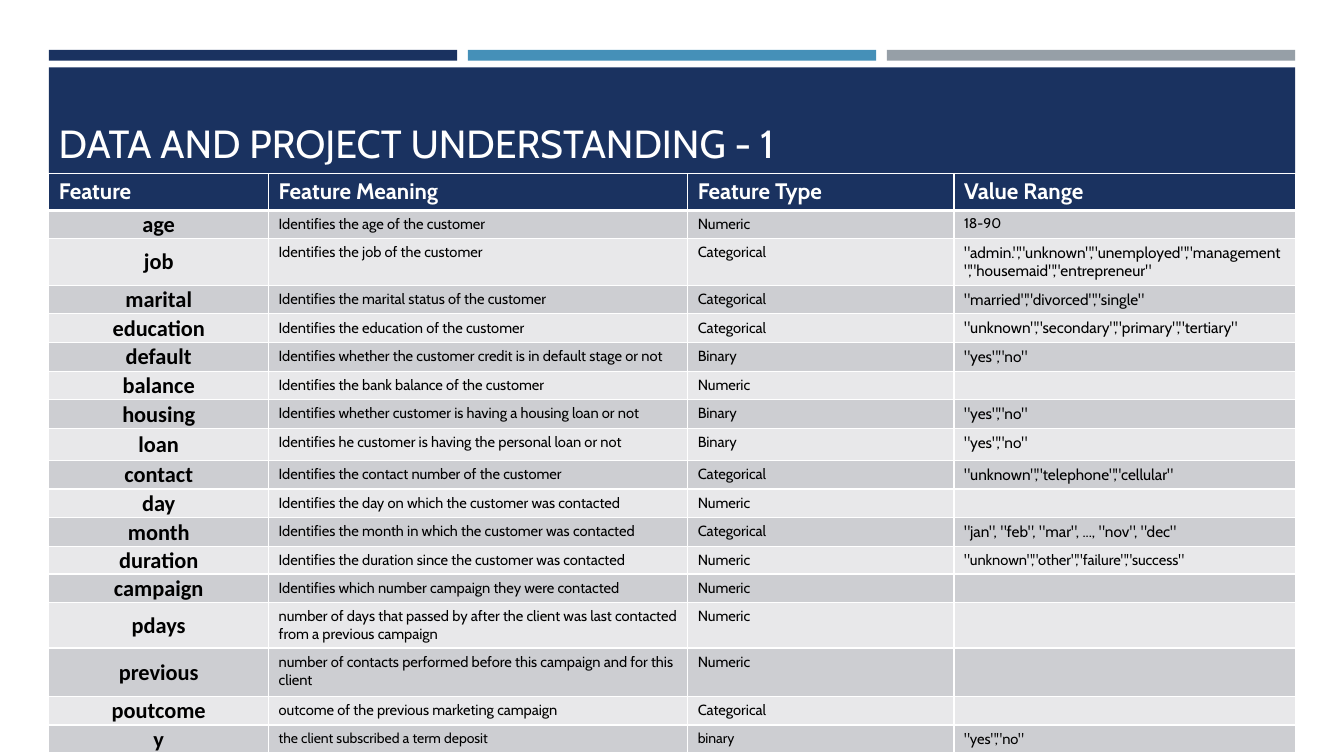
from dataclasses import dataclass

import lxml.etree
import pptx
import pptx.dml.color
import pptx.enum.shapes
import pptx.enum.text
import pptx.oxml.ns
import pptx.util
from pptx.util import Cm


@dataclass(frozen=True)
class Theme:
    navy: str = "1A3260"
    blue: str = "4590B8"
    grey: str = "969FA7"
    white: str = "FFFFFF"
    black: str = "000000"
    band_dark: str = "CDCED2"
    band_light: str = "E8E8EA"
    font: str = "Cabin"
    feature_font: str = "Calibri"
    title_size: float = 28
    heading_size: float = 16
    body_size: float = 10.5
    value_size: float = 11
    small_size: float = 10


THEME = Theme()
LEFT, WIDTH = 1.23, 31.41

HEADINGS = ("Feature", "Feature Meaning", "Feature Type", "Value Range")
FEATURES = [
    ("age", "Identifies the age of the customer", "Numeric", "18-90"),
    ("job", "Identifies the job of the customer", "Categorical",
     '"admin.","unknown","unemployed","management","housemaid","entrepreneur"'),
    ("marital", "Identifies the marital status of the customer", "Categorical",
     '"married","divorced","single"'),
    ("education", "Identifies the education of the customer", "Categorical",
     '"unknown","secondary","primary","tertiary"'),
    ("default", "Identifies whether the customer credit is in default stage or not",
     "Binary", '"yes","no"'),
    ("balance", "Identifies the bank balance of the customer", "Numeric", ""),
    ("housing", "Identifies whether customer is having a housing loan or not",
     "Binary", '"yes","no"'),
    ("loan", "Identifies he customer is having the personal loan or not",
     "Binary", '"yes","no"'),
    ("contact", "Identifies the contact number of the customer", "Categorical",
     '"unknown","telephone","cellular"'),
    ("day", "Identifies the day on which the customer was contacted", "Numeric", ""),
    ("month", "Identifies the month in which the customer was contacted",
     "Categorical", '"jan", "feb", "mar", ..., "nov", "dec"'),
    ("duration", "Identifies the duration since the customer was contacted",
     "Numeric", '"unknown","other","failure","success"'),
    ("campaign", "Identifies which number campaign they were contacted", "Numeric", ""),
    ("pdays", "number of days that passed by after the client was last contacted "
     "from a previous campaign", "Numeric", ""),
    ("previous", "number of contacts performed before this campaign and for this client",
     "Numeric", ""),
    ("poutcome", "outcome of the previous marketing campaign", "Categorical", ""),
    ("y", "the client subscribed a term deposit", "binary", '"yes","no"'),
]
COLUMN_WIDTHS = (5.54, 10.56, 6.71, 8.6)
HEADING_HEIGHT, ROW_HEIGHT = 0.89, 0.66
TALL_ROWS = {"loan": 0.81, "pdays": 1.12, "previous": 1.22}
# Sizes of meaning, type and value where they differ from the usual ones
USUAL_SIZES = (THEME.body_size, THEME.body_size, THEME.value_size)
SPECIAL_SIZES = {
    "age": (THEME.body_size, THEME.body_size, THEME.small_size),
    "duration": (THEME.body_size,) * 3,
    "y": (THEME.small_size, THEME.small_size, THEME.body_size),
}


def rgb(value):
    return pptx.dml.color.RGBColor.from_string(value)


def style_paragraph(paragraph, size, color, name=THEME.font, bold=False):
    font = paragraph.font
    font.size, font.name, font.bold = pptx.util.Pt(size), name, bold
    font.color.rgb = rgb(color)


def add_bar(slide, left, top, width, height, color):
    shape = slide.shapes.add_shape(
        pptx.enum.shapes.MSO_SHAPE.RECTANGLE, Cm(left), Cm(top), Cm(width), Cm(height))
    shape.shadow.inherit = False
    shape.fill.solid()
    shape.fill.fore_color.rgb = rgb(color)
    shape.line.fill.background()


def add_title(slide, text):
    box = slide.shapes.add_textbox(Cm(LEFT), Cm(1.5), Cm(30.63), Cm(2.82))
    frame = box.text_frame
    frame.word_wrap = True
    frame.vertical_anchor = pptx.enum.text.MSO_ANCHOR.BOTTOM
    frame.text = text
    style_paragraph(frame.paragraphs[0], THEME.title_size, THEME.white)


def set_borders(cell, bottom=1):
    properties = cell._tc.get_or_add_tcPr()
    widths = {"lnL": 1, "lnR": 1, "lnT": 1, "lnB": bottom}
    for index, (side, width) in enumerate(widths.items()):
        line = lxml.etree.Element(
            pptx.oxml.ns.qn("a:" + side), w=str(pptx.util.Pt(width)))
        fill = lxml.etree.SubElement(line, pptx.oxml.ns.qn("a:solidFill"))
        lxml.etree.SubElement(fill, pptx.oxml.ns.qn("a:srgbClr"), val=THEME.white)
        properties.insert(index, line)


def fill_cell(cell, text, fill, size, color=THEME.black, bottom=1, **font):
    cell.text = text
    cell.fill.solid()
    cell.fill.fore_color.rgb = rgb(fill)
    style_paragraph(cell.text_frame.paragraphs[0], size, color, **font)
    set_borders(cell, bottom)


def fill_feature_cell(cell, text, fill):
    fill_cell(cell, text, fill, THEME.heading_size, name=THEME.feature_font, bold=True)
    cell.text_frame.paragraphs[0].alignment = pptx.enum.text.PP_ALIGN.CENTER
    cell.vertical_anchor = pptx.enum.text.MSO_ANCHOR.MIDDLE
    cell.margin_left = cell.margin_right = cell.margin_top = Cm(0.02)
    cell.margin_bottom = 0


def add_feature_table(slide):
    heights = [HEADING_HEIGHT] + [TALL_ROWS.get(row[0], ROW_HEIGHT) for row in FEATURES]
    table = slide.shapes.add_table(
        len(heights), len(HEADINGS), Cm(LEFT), Cm(4.37), Cm(WIDTH), Cm(sum(heights))).table
    table.first_row = table.horz_banding = False
    for column, width in zip(table.columns, COLUMN_WIDTHS):
        column.width = Cm(width)
    for row, height in zip(table.rows, heights):
        row.height = Cm(height)

    for column, heading in enumerate(HEADINGS):
        fill_cell(table.cell(0, column), heading, THEME.navy, THEME.heading_size,
                  THEME.white, bottom=3, bold=True)
    for row, (feature, *details) in enumerate(FEATURES, start=1):
        band = THEME.band_dark if row % 2 else THEME.band_light
        fill_feature_cell(table.cell(row, 0), feature, band)
        sizes = SPECIAL_SIZES.get(feature, USUAL_SIZES)
        for column, (text, size) in enumerate(zip(details, sizes), start=1):
            fill_cell(table.cell(row, column), text, band, size)


def main():
    presentation = pptx.Presentation()
    presentation.slide_width, presentation.slide_height = Cm(33.87), Cm(19.05)
    slide = presentation.slides.add_slide(presentation.slide_layouts[6])

    # Three accent bars
    bar_width = 10.29
    step = (WIDTH - bar_width) / 2
    for index, color in enumerate((THEME.navy, THEME.blue, THEME.grey)):
        add_bar(slide, LEFT + index * step, 1.26, bar_width, 0.27, color)

    # Title band
    add_bar(slide, LEFT, 1.7, WIDTH, 3.3, THEME.navy)
    add_title(slide, "DATA AND PROJECT UNDERSTANDING - 1")

    # Feature table
    add_feature_table(slide)

    presentation.save("out.pptx")


main()
